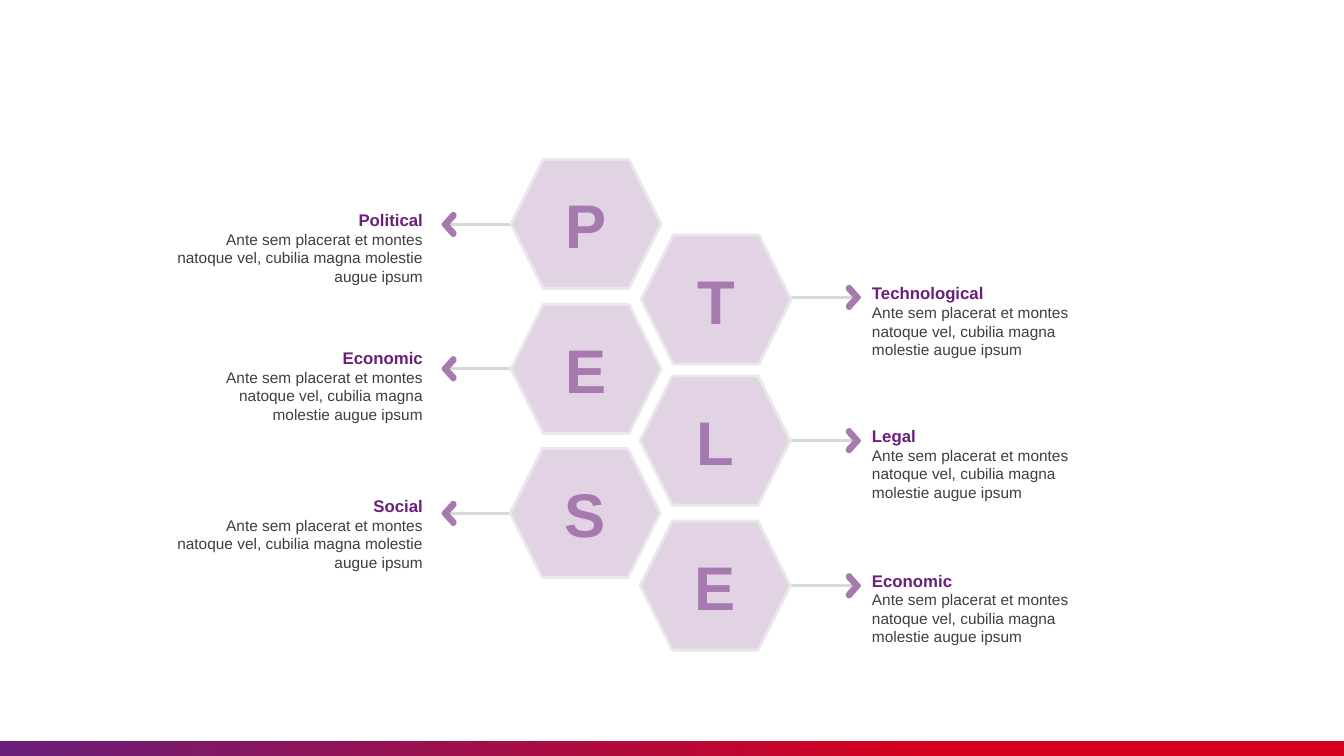
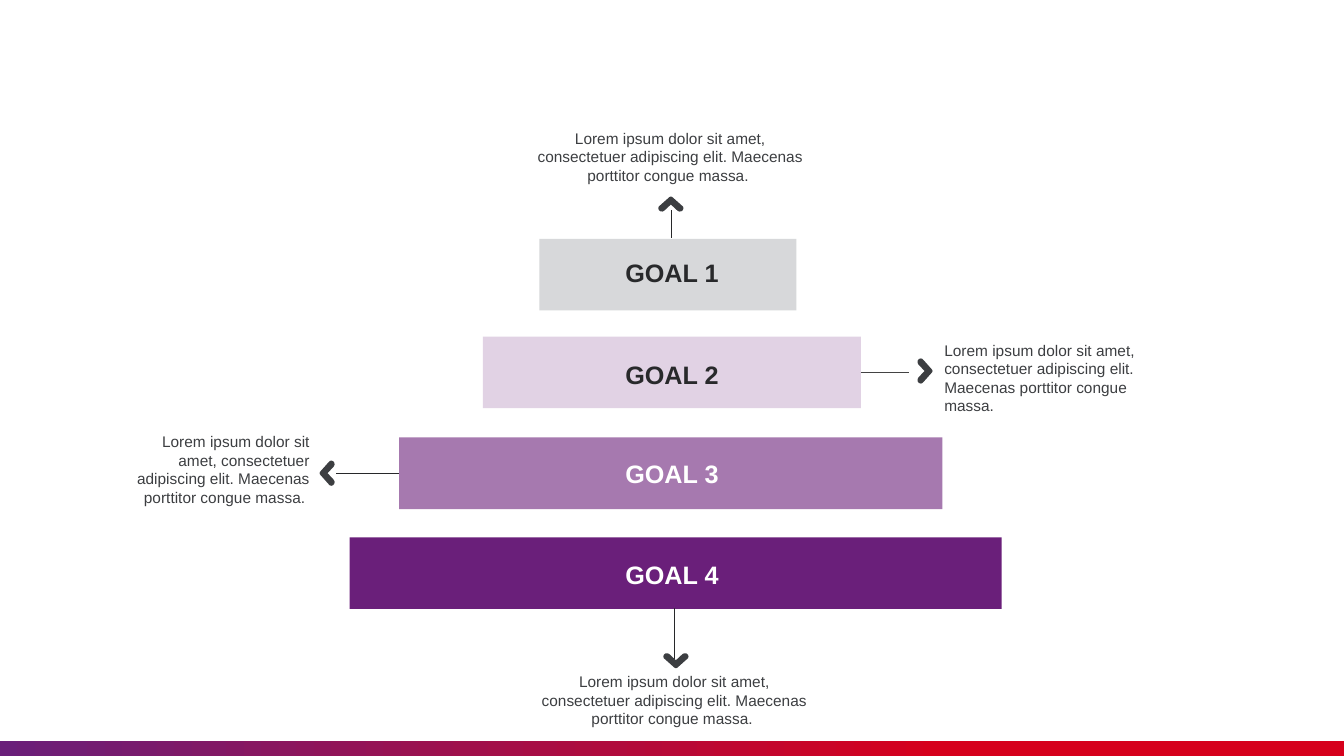
from lxml.etree import SubElement
from pptx import Presentation
from pptx.dml.color import RGBColor
from pptx.enum.shapes import MSO_CONNECTOR, MSO_SHAPE
from pptx.enum.text import MSO_ANCHOR, PP_ALIGN
from pptx.oxml.ns import qn
from pptx.util import Pt

# Shared look
FONT = "Arial"
PURPLE, MAUVE, LILAC, RED = "6A1F7A", "A679AF", "E1D2E4", "D6001C"
LIGHT_GREY, PALE_GREY, TEXT_GREY = "D7D8DA", "E9E9EA", "3C3E41"
NEAR_BLACK, LABEL_BLACK, WHITE = "27282A", "28292B", "FFFFFF"
LEFT, RIGHT, UP, DOWN = (-1, 0), (1, 0), (0, -1), (0, 1)
color = RGBColor.from_string

# Chevron pointing right, centred on zero: upper half, then its mirror
UPPER_HALF = [(0.4, 0), (-4, -4.7), (-4.6, -6), (-4.5, -7.4), (-3.6, -8.6), (-2.2, -9),
              (-1.2, -8.7), (-0.4, -7.9), (5.4, -1.4), (5.9, -0.8), (6.1, 0)]
CHEVRON = UPPER_HALF + [(x, -y) for x, y in UPPER_HALF[-2:0:-1]]


def write_text(shape, lines, alignment, margins=(7.2, 3.6), anchor=MSO_ANCHOR.TOP):
    """Each line is (text, size, hex colour, bold)."""
    frame = shape.text_frame
    frame.word_wrap = True
    frame.vertical_anchor = anchor
    frame.margin_left = frame.margin_right = Pt(margins[0])
    frame.margin_top = frame.margin_bottom = Pt(margins[1])
    frame.text = "\n".join(line[0] for line in lines)
    for paragraph, (_, size, hex_color, bold) in zip(frame.paragraphs, lines):
        paragraph.alignment = alignment
        font = paragraph.runs[0].font
        font.name, font.size, font.bold = FONT, Pt(size), bold
        font.color.rgb = color(hex_color)


def add_arrow(slide, start, end, line_color, width, center, direction, chevron_color):
    connector = slide.shapes.add_connector(
        MSO_CONNECTOR.STRAIGHT, *[Pt(value) for value in (*start, *end)])
    connector.line.color.rgb = color(line_color)
    connector.line.width = Pt(width)
    SubElement(connector._element.spPr, qn("a:effectLst"))
    across, down = direction
    points = [(Pt(center[0] + x * across - y * down), Pt(center[1] + x * down + y * across))
              for x, y in CHEVRON]
    builder = slide.shapes.build_freeform(*points[0])
    builder.add_line_segments(points[1:], close=True)
    chevron = builder.convert_to_shape()
    chevron.shadow.inherit = False
    chevron.fill.solid()
    chevron.fill.fore_color.rgb = color(chevron_color)
    chevron.line.fill.background()


presentation = Presentation()
presentation.slide_width, presentation.slide_height = Pt(960), Pt(540)
pestle_slide, goals_slide = [
    presentation.slides.add_slide(presentation.slide_layouts[6]) for _ in range(2)]

# Gradient band at the foot of both slides
for slide in (pestle_slide, goals_slide):
    band = slide.shapes.add_shape(MSO_SHAPE.RECTANGLE, 0, Pt(529.2), Pt(960), Pt(12))
    band.shadow.inherit = False
    band.line.fill.background()
    band.fill.gradient()
    band.fill.gradient_angle = 0
    for stop, position, hex_color in zip(band.fill.gradient_stops, (0, 0.7), (PURPLE, RED)):
        stop.position = position
        stop.color.rgb = color(hex_color)

# Slide 1: hexagons with arrows and descriptions
HEXAGON_WIDTH, HEXAGON_HEIGHT = 107.3, 92.2
DESCRIPTION = "Ante sem placerat et montes natoque vel, cubilia magna molestie augue ipsum"
# letter, heading, direction, hexagon left and top, arrow y, text top and width
factors = [
    ("P", "Political", LEFT, 365, 113.8, 160.3, 146.2, 192.2),
    ("E", "Economic", LEFT, 365, 217.4, 263.4, 244.8, 182.5),
    ("S", "Social", LEFT, 364.3, 320.4, 366.7, 350.6, 192.2),
    ("T", "Technological", RIGHT, 457.9, 167.8, 212.4, 198.7, 182.5),
    ("L", "Legal", RIGHT, 457.2, 268.6, 314.8, 300.6, 182.5),
    ("E", "Economic", RIGHT, 457.2, 372.2, 418.4, 403.9, 182.5),
]
for letter, heading, direction, left, top, arrow_y, text_top, text_width in factors:
    if direction == LEFT:
        line_start, line_end, chevron_x = left, 319, 321.5
        text_left, alignment = 309.2 - text_width, PP_ALIGN.RIGHT
    else:
        line_start, line_end, chevron_x = left + HEXAGON_WIDTH, 609, 608.8
        text_left, alignment = 615.8, PP_ALIGN.LEFT
    add_arrow(pestle_slide, (line_start, arrow_y), (line_end, arrow_y), LIGHT_GREY, 2,
              (chevron_x, arrow_y), direction, MAUVE)
    hexagon = pestle_slide.shapes.add_shape(
        MSO_SHAPE.HEXAGON, Pt(left), Pt(top), Pt(HEXAGON_WIDTH), Pt(HEXAGON_HEIGHT))
    hexagon.shadow.inherit = False
    hexagon.fill.solid()
    hexagon.fill.fore_color.rgb = color(LILAC)
    hexagon.line.color.rgb = color(PALE_GREY)
    hexagon.line.width = Pt(2)
    write_text(hexagon, [(letter, 44, MAUVE, True)], PP_ALIGN.CENTER, anchor=MSO_ANCHOR.MIDDLE)
    text_box = pestle_slide.shapes.add_textbox(
        Pt(text_left), Pt(text_top), Pt(text_width), Pt(62))
    write_text(text_box, [(heading, 12, PURPLE, True), (DESCRIPTION, 11, TEXT_GREY, False)],
               alignment)

# Slide 2: pyramid of goal bars, each with a label
BAR_HEIGHT = 51.1
# bar left, top and width, fill, label colour, label centre y
bars = [
    (385.2, 170.6, 183.6, LIGHT_GREY, LABEL_BLACK, 194.8),
    (344.9, 240.5, 270, LILAC, LABEL_BLACK, 267.5),
    (285.1, 312.5, 388.1, MAUVE, WHITE, 338.4),
    (249.8, 383.8, 465.8, PURPLE, WHITE, 410),
]
for number, (left, top, width, fill, label_color, label_y) in enumerate(bars, start=1):
    bar = goals_slide.shapes.add_shape(
        MSO_SHAPE.RECTANGLE, Pt(left), Pt(top), Pt(width), Pt(BAR_HEIGHT))
    bar.shadow.inherit = False
    bar.fill.solid()
    bar.fill.fore_color.rgb = color(fill)
    bar.line.fill.background()
    label = goals_slide.shapes.add_textbox(Pt(420), Pt(label_y - 18), Pt(120), Pt(36))
    write_text(label, [(f"GOAL {number}", 18, label_color, True)], PP_ALIGN.CENTER,
               (7.2, 7.2), MSO_ANCHOR.MIDDLE)

# Arrows from the bars to their notes
NOTE = ("Lorem ipsum dolor sit amet, consectetuer adipiscing elit. "
        "Maecenas porttitor congue massa. ")
# line start and end, colour, width, chevron centre, direction, note box, alignment
notes = [
    ((479.5, 170), (479.5, 149.8), NEAR_BLACK, 0.75, (479.2, 146.5), UP,
     (373.7, 85, 210.2, 44), PP_ALIGN.CENTER),
    ((614.9, 265.9), (649.4, 265.9), "434343", 1, (660, 265), RIGHT,
     (667.4, 236.2, 152.6, 62), PP_ALIGN.LEFT),
    ((285.1, 337.9), (239.8, 337.9), NEAR_BLACK, 0.75, (234.4, 338), LEFT,
     (85.7, 301.7, 142.6, 44), PP_ALIGN.RIGHT),
    ((481.8, 434.3), (481.8, 472.3), NEAR_BLACK, 0.75, (482.8, 471.2), DOWN,
     (376.6, 473, 210.2, 44), PP_ALIGN.CENTER),
]
for start, end, line_color, width, center, direction, box, alignment in notes:
    add_arrow(goals_slide, start, end, line_color, width, center, direction, TEXT_GREY)
    note = goals_slide.shapes.add_textbox(*[Pt(value) for value in box])
    write_text(note, [(NOTE, 11, TEXT_GREY, False)], alignment, (7.2, 7.2))

presentation.save("out.pptx")
